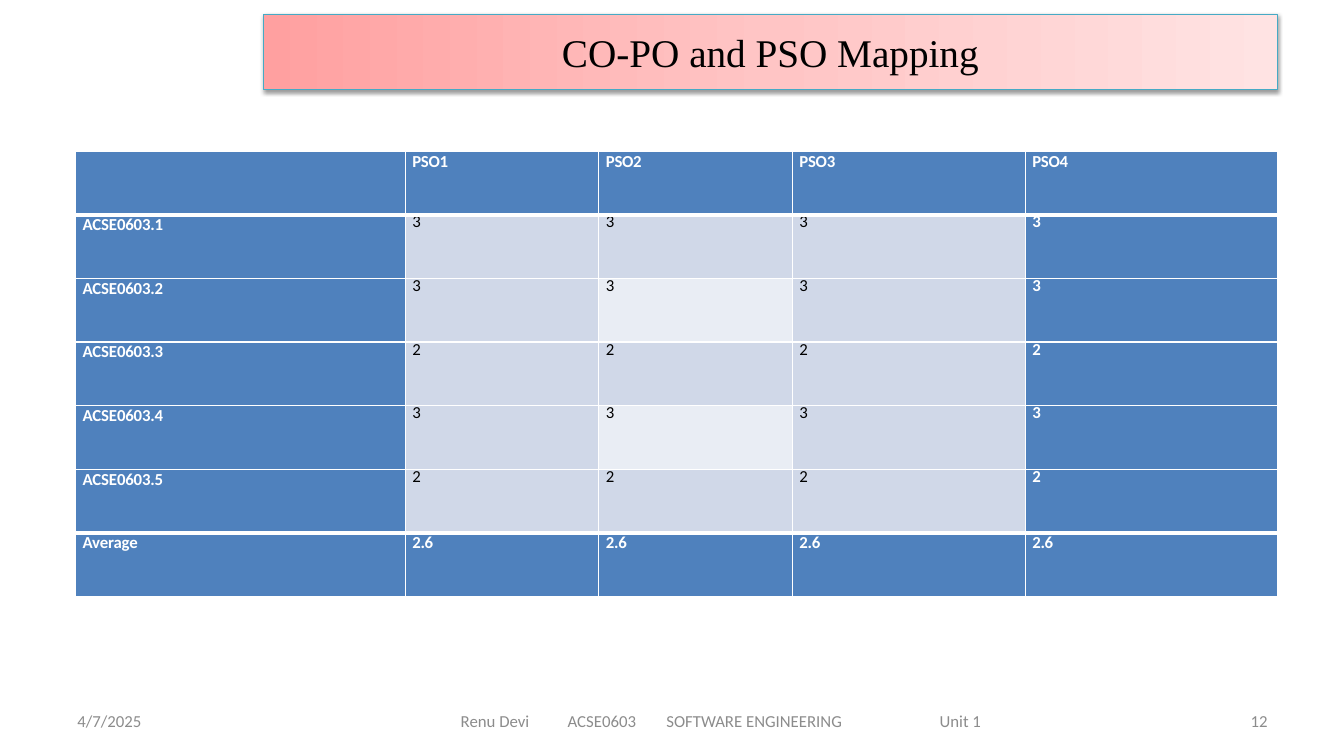
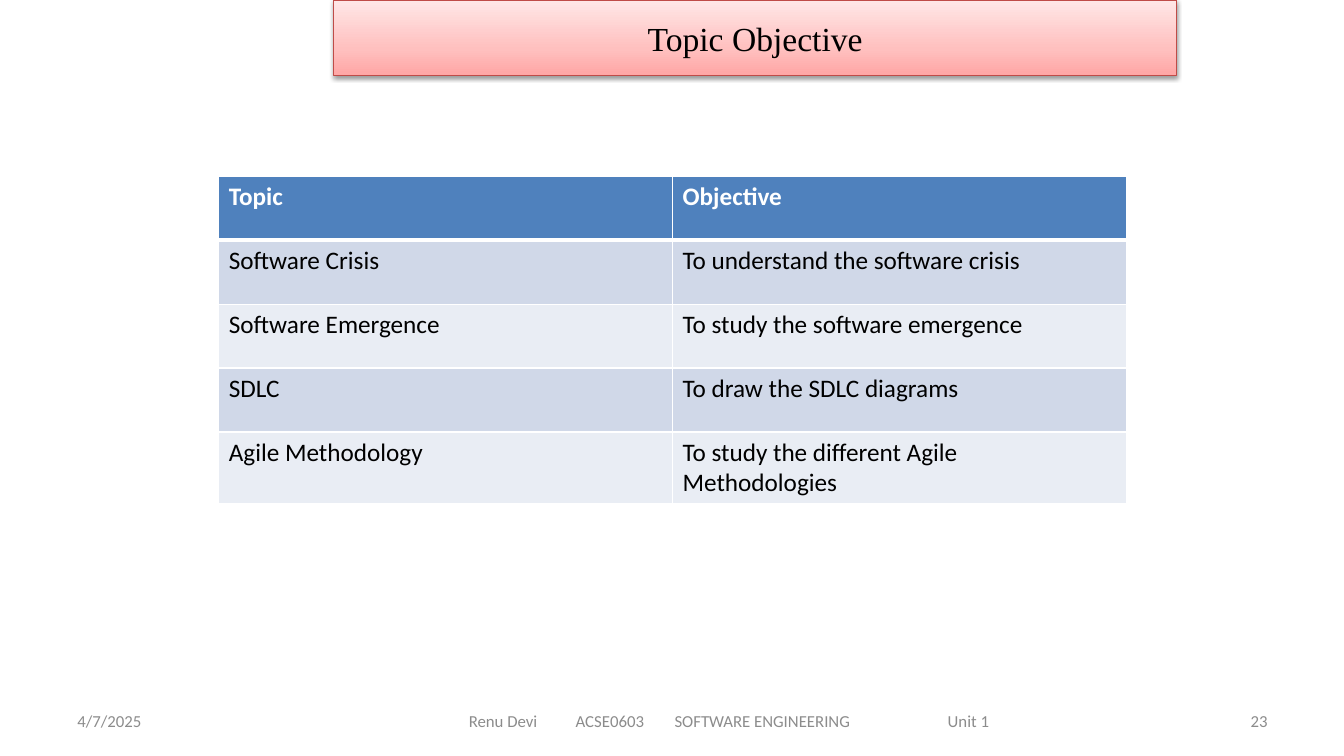
"""Build two course slides, each with a title band, a table and a footer."""
from dataclasses import dataclass
from typing import Any

from lxml import etree
from pptx import Presentation
from pptx import slide as sl
from pptx import table as tb
from pptx import util as u
from pptx.dml import color
from pptx.enum import text
from pptx.oxml import ns


@dataclass(frozen=True)
class Theme:
    """Colours, fonts and type sizes of the deck."""
    accent: str = "4F81BD"
    band: str = "D0D8E8"
    pale: str = "E9EDF4"
    white: str = "FFFFFF"
    black: str = "000000"
    grey: str = "8C8C8C"
    body: str = "Calibri"
    serif: str = "Times New Roman"
    small: float = 12
    large: float = 18


@dataclass(frozen=True)
class Band:
    """Title band: place, gradient and outline."""
    label: str
    box: tuple[float, float, float, float]
    size: float
    stops: tuple[tuple[int, str], ...]
    angle: float
    line: str


@dataclass(frozen=True)
class Grid:
    """Table: place, column widths, rows and style."""
    box: tuple[float, float, float, float]
    widths: tuple[float, ...]
    rows: tuple[tuple[str, ...], ...]
    size: float
    light: tuple[int, ...]
    framed: bool = False


@dataclass(frozen=True)
class Page:
    """One slide and its footer values."""
    band: Band
    grid: Grid
    number: str
    foot: tuple[float, float]


T = Theme()
DATE = "4/7/2025"
FOOT = "Renu Devi\tACSE0603\tSOFTWARE ENGINEERING\tUnit 1"
TABS = (1.06, 2.04, 4.75)
HALF = 2.6

PAGES = (
    Page(
        Band("CO-PO and PSO Mapping", (2.61, 0.14, 10.06, 0.75), 28,
             ((0, "FFA0A0"), (50, "FFC5C5"), (100, "FFE3E3")), 0, "46AAC5"),
        Grid((0.75, 1.5, 11.92, 4.42), (3.27, 1.92, 1.92, 2.31, 2.5),
             (("", "PSO1", "PSO2", "PSO3", "PSO4"),
              *((f"ACSE0603.{i}", *[mark] * 4) for i, mark in enumerate("33232", 1)),
              ("Average", *["2.6"] * 4)),
             T.small, (2,), True),
        "12", (4.42, 5.5)),
    Page(
        Band("Topic Objective", (3.31, 0, 8.36, 0.75), 24,
             ((0, "FFA6A5"), (35, "FFC0BF"), (100, "FFE7E7")), 90, "BF4C48"),
        Grid((2.17, 1.75, 9, 3.17), (4.5, 4.5),
             (("Topic", "Objective"),
              ("Software Crisis", "To understand the software crisis"),
              ("Software Emergence", "To study the software emergence"),
              ("SDLC", "To draw the SDLC diagrams"),
              ("Agile Methodology", "To study the different Agile Methodologies")),
             T.large, (0, 1)),
        "23", (4.32, 5.86)),
)


def apply(item: Any, form: dict[str, Any]) -> None:
    """Set each attribute named in the format values."""
    for key, value in form.items():
        setattr(item, key, value)


def rgb(code: str) -> color.RGBColor:
    """Turn a hex code into a colour."""
    return color.RGBColor.from_string(code)


def node(root: Any, tag: str, **attrs: Any) -> Any:
    """Append a drawing element."""
    return etree.SubElement(root, ns.qn(f"a:{tag}"),
                            {key: str(value) for key, value in attrs.items()})


def place(box: tuple[float, float, float, float]) -> dict[str, u.Length]:
    """Give the format values of a box in inches."""
    return dict(zip(("left", "top", "width", "height"), map(u.Inches, box)))


def write(para: Any, words: str, size: float, shade: str,
          face: str = T.body, bold: bool = False) -> Any:
    """Add one styled run to a paragraph."""
    run = para.add_run()
    run.text = words
    apply(run.font, {"size": u.Pt(size), "name": face, "bold": bold})
    run.font.color.rgb = rgb(shade)
    return run


def draw_band(slide: sl.Slide, band: Band) -> None:
    """Move and format the title placeholder."""
    shape = slide.shapes.title
    apply(shape, place(band.box))
    shape.fill.gradient()
    shape.fill.gradient_angle = band.angle
    props = shape.element.spPr
    stops = props.find(".//" + ns.qn("a:gsLst"))
    stops.clear()
    for at, shade in band.stops:
        node(node(stops, "gs", pos=at * 1000), "srgbClr", val=shade)
    shape.line.width = u.Pt(0.75)
    shape.line.color.rgb = rgb(band.line)
    shade = node(node(props, "effectLst"), "outerShdw", blurRad=u.Pt(3.1),
                 dist=u.Pt(1.6), dir=5400000, rotWithShape=0)
    node(node(shade, "srgbClr", val=T.black), "alpha", val=38000)
    frame = shape.text_frame
    apply(frame, {"auto_size": text.MSO_AUTO_SIZE.NONE, "word_wrap": True,
                  "vertical_anchor": text.MSO_ANCHOR.MIDDLE})
    para = frame.paragraphs[0]
    para.alignment = text.PP_ALIGN.CENTER
    write(para, band.label, band.size, T.black, T.serif)


def draw_edge(cell: tb._Cell, top: float, base: float) -> None:
    """Give a cell white borders."""
    props = cell._tc.get_or_add_tcPr()
    for tag, width in (("lnL", 1), ("lnR", 1), ("lnT", top), ("lnB", base)):
        line = node(props, tag, w=u.Pt(width))
        node(node(line, "solidFill"), "srgbClr", val=T.white)


def draw_grid(slide: sl.Slide, grid: Grid) -> None:
    """Add the table with its fills, borders and text."""
    last, end = len(grid.rows) - 1, len(grid.widths) - 1
    heavy = {1, last} if grid.framed else {1}
    table = slide.shapes.add_table(last + 1, end + 1, *place(grid.box).values()).table
    table.horz_banding = False
    for col, width in zip(table.columns, grid.widths):
        col.width = u.Inches(width)
    for r, row in enumerate(grid.rows):
        for c, words in enumerate(row):
            cell = table.cell(r, c)
            draw_edge(cell, *(3 if edge in heavy else 1 for edge in (r, r + 1)))
            strong = r == 0 or grid.framed and (r == last or c in (0, end))
            light = r % 2 == 0 and c in grid.light
            cell.fill.solid()
            cell.fill.fore_color.rgb = rgb(
                T.accent if strong else T.pale if light else T.band)
            para = cell.text_frame.paragraphs[0]
            if grid.framed:
                apply(cell, {"margin_left": u.Inches(0.07), "margin_right": 0,
                             "margin_top": 0, "margin_bottom": 0})
            if not words:
                continue
            run = write(para, words, grid.size, T.white if strong else T.black,
                        bold=strong)
            if grid.framed:
                inner = 0 < r < last and c > 0
                if inner:
                    para.line_spacing = u.Pt(12.5)
                pitch = -50 if inner else -10 if c == 0 else -20
                run.font._element.set("spc", str(pitch))


def draw_note(slide: sl.Slide, words: str, left: float, width: float,
              align: text.PP_ALIGN = text.PP_ALIGN.LEFT,
              inset: float = 0.1, tabs: tuple[float, ...] = ()) -> None:
    """Add one footer text with optional tab stops."""
    box = slide.shapes.add_textbox(*place((left, 6.95, width, 0.4)).values())
    apply(box.text_frame, {"word_wrap": True, "margin_left": u.Inches(inset),
                           "vertical_anchor": text.MSO_ANCHOR.MIDDLE})
    para = box.text_frame.paragraphs[0]
    para.alignment = align
    if tabs:
        stops = node(para._p.get_or_add_pPr(), "tabLst")
        for tab in tabs:
            node(stops, "tab", pos=u.Inches(tab), algn="l")
    write(para, words, T.small, T.grey)


def draw_foot(slide: sl.Slide, page: Page) -> None:
    """Add the date, course line and page number."""
    left, width = page.foot
    draw_note(slide, DATE, 0.67, 3.11)
    draw_note(slide, FOOT, left, width, inset=width / 2 - HALF, tabs=TABS)
    draw_note(slide, page.number, 9.56, 3.11, text.PP_ALIGN.RIGHT)


def main() -> None:
    """Build and save the deck."""
    deck = Presentation()
    apply(deck, {"slide_width": u.Inches(13.33), "slide_height": u.Inches(7.5)})
    for page in PAGES:
        slide = deck.slides.add_slide(deck.slide_layouts[5])
        draw_band(slide, page.band)
        draw_grid(slide, page.grid)
        draw_foot(slide, page)
    deck.save("out.pptx")


if __name__ == "__main__":
    main()
